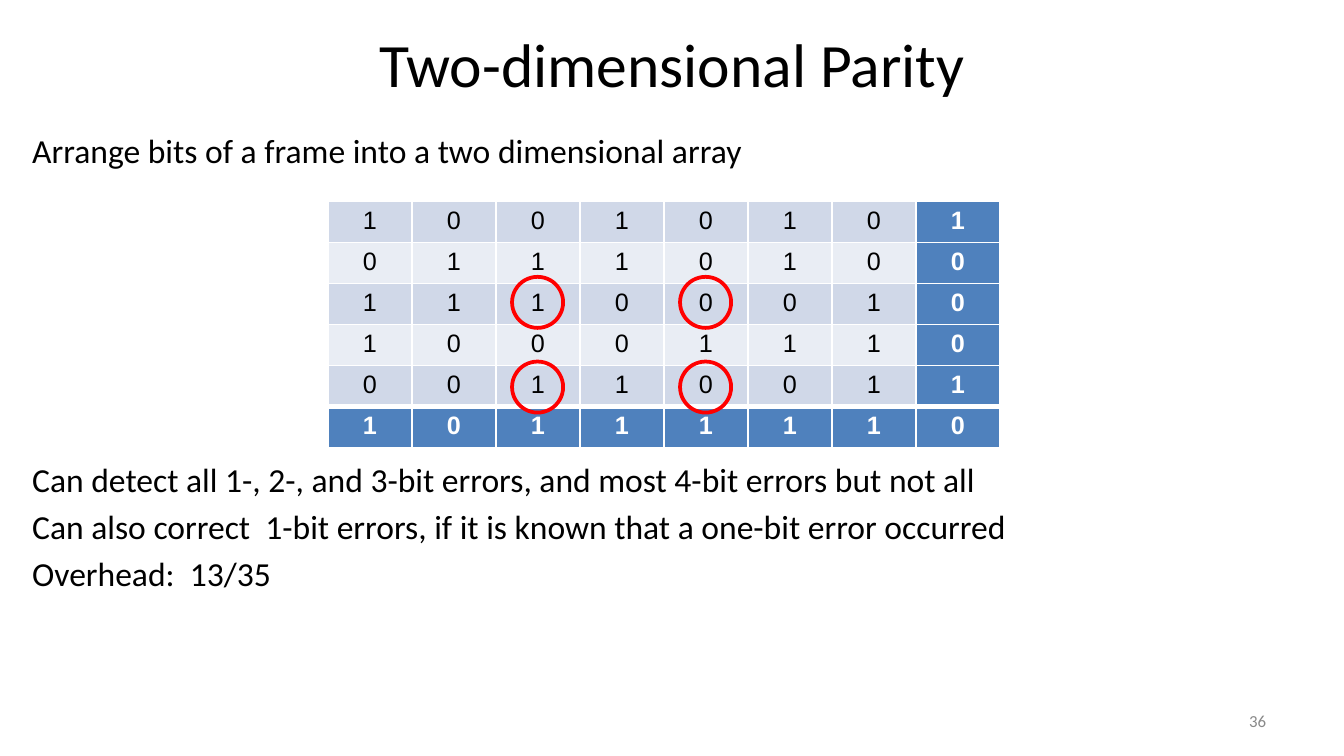
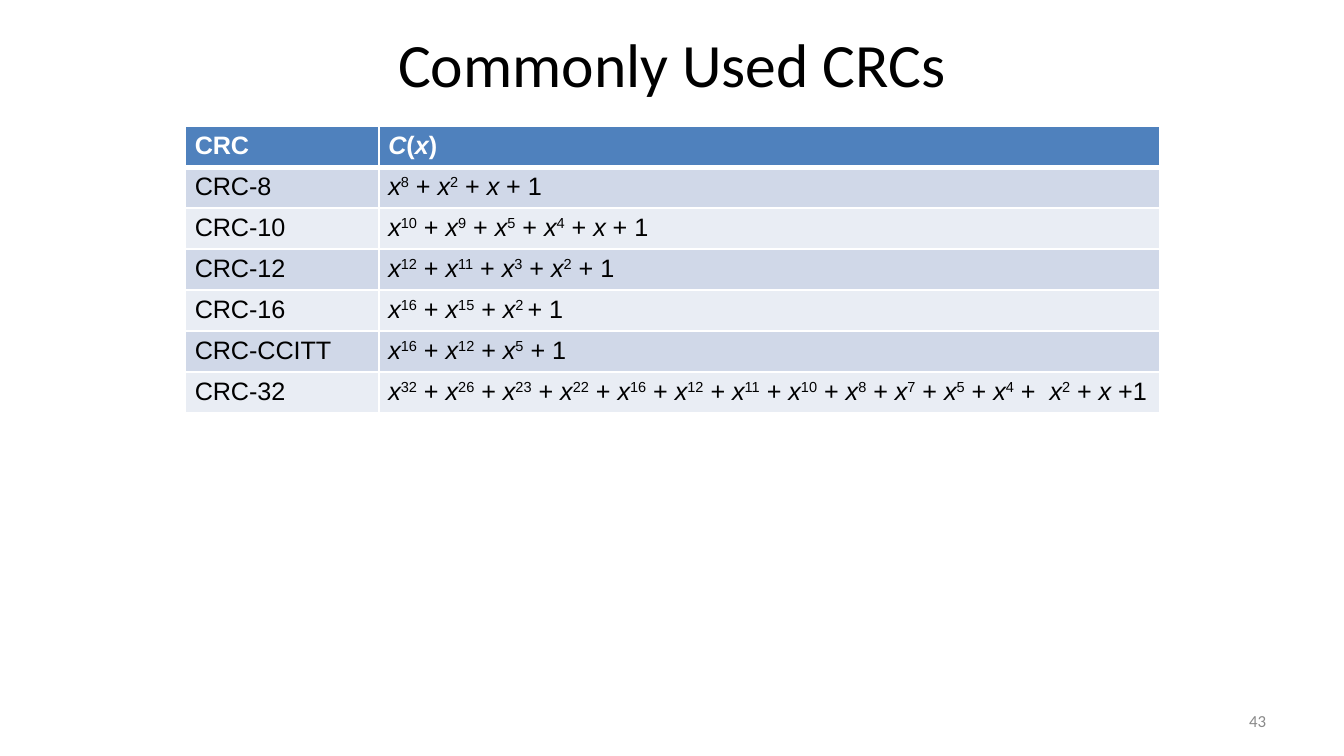
from itertools import groupby
from pptx import Presentation
from pptx import util as u
from pptx.dml.color import RGBColor
from pptx.enum import shapes, text
from pptx.oxml import parse_xml
from pptx.oxml.ns import nsdecls

INK, WHITE, GREY, RED = "000000", "FFFFFF", "898989", "FF0000"
BLUE, BANDS = "4F81BD", ("D0D8E8", "E9EDF4")
LEFT, CENTER, RIGHT = text.PP_ALIGN.LEFT, text.PP_ALIGN.CENTER, text.PP_ALIGN.RIGHT
TOP, MIDDLE = text.MSO_ANCHOR.TOP, text.MSO_ANCHOR.MIDDLE
LINE_GAP, TABLE_GAP = 3.6, 154.5

BITS = ["10010101", "01110100", "11100010", "10001110", "00110011", "10111110"]
CRCS = [
    ("CRC", "C(x)"),
    ("CRC-8", "x{8} + x{2} + x + 1"),
    ("CRC-10", "x{10} + x{9} + x{5} + x{4} + x + 1"),
    ("CRC-12", "x{12} + x{11} + x{3} + x{2} + 1"),
    ("CRC-16", "x{16} + x{15} + x{2 }+ 1"),
    ("CRC-CCITT", "x{16} + x{12} + x{5} + 1"),
    ("CRC-32", "x{32} + x{26} + x{23} + x{22} + x{16} + x{12} + x{11} + x{10}"
               " + x{8} + x{7} + x{5} + x{4} +  x{2} + x +1"),
]


def color(value):
    """Turn a hex string into a colour."""
    return RGBColor.from_string(value)


def add_span(para, words, size=18, font="Calibri", ink=INK, bold=False,
             italic=False, raised=False):
    """Add one formatted run to a paragraph."""
    span = para.add_run()
    span.text = words
    span.font.size, span.font.name = u.Pt(size), font
    span.font.bold, span.font.italic = bold, italic
    span.font.color.rgb = color(ink)
    if raised:
        span.font._element.set("baseline", "30000")


def add_text(page, box, lines, align=LEFT, anchor=TOP, gaps=(0,), **style):
    """Add a text box with one paragraph per line and the space before each."""
    frame = page.shapes.add_textbox(*map(u.Inches, box)).text_frame
    frame.word_wrap, frame.vertical_anchor = True, anchor
    frame.margin_left = frame.margin_right = u.Inches(0.08)
    frame.margin_top = frame.margin_bottom = u.Inches(0.04)
    for index, (line, gap) in enumerate(zip(lines, gaps)):
        para = frame.add_paragraph() if index else frame.paragraphs[0]
        para.alignment, para.space_before = align, u.Pt(gap)
        add_span(para, line, **style)


def add_page(deck, title, number):
    """Add a blank page with its title and page number."""
    page = deck.slides.add_slide(deck.slide_layouts[6])
    add_text(page, (0, 0, 10, 0.94), [title], CENTER, MIDDLE, size=33)
    add_text(page, (7.17, 5.21, 2.33, 0.3), [number], RIGHT, MIDDLE, size=9, ink=GREY)
    return page


def add_grid(page, box, widths, row_count):
    """Add an unstyled table with given column widths and equal rows."""
    grid = page.shapes.add_table(row_count, len(widths), *map(u.Inches, box)).table
    grid.first_row = grid.horz_banding = False
    for column, width in zip(grid.columns, widths):
        column.width = u.Inches(width)
    for row in grid.rows:
        row.height = u.Inches(box[3] / row_count)
    return grid


def style_cell(cell, fill, align=LEFT, top=1, bottom=1):
    """Set borders, fill and margins of a cell and return its paragraph."""
    for side, weight in zip("LRTB", (1, 1, top, bottom)):
        cell._tc.get_or_add_tcPr().append(parse_xml(
            f'<a:ln{side} {nsdecls("a")} w="{u.Pt(weight)}"><a:solidFill>'
            f'<a:srgbClr val="{WHITE}"/></a:solidFill></a:ln{side}>'))
    cell.fill.solid()
    cell.fill.fore_color.rgb = color(fill)
    cell.margin_left = cell.margin_right = u.Inches(0.07)
    cell.margin_top = cell.margin_bottom = u.Inches(0.04)
    para = cell.text_frame.paragraphs[0]
    para.alignment = align
    return para


def add_polynomial(para, formula, **style):
    """Write a formula with italic letters and raised text in braces."""
    for index, piece in enumerate(formula.replace("}", "{").split("{")):
        for italic, letters in groupby(piece, str.isalpha):
            add_span(para, "".join(letters), italic=italic, raised=index % 2 == 1, **style)


def add_parity_table(page, box):
    """Add the bit array with its parity row and column."""
    last_row, last_column = len(BITS) - 1, len(BITS[0]) - 1
    grid = add_grid(page, box, [box[2] / len(BITS[0])] * len(BITS[0]), len(BITS))
    for row, bits in enumerate(BITS):
        for column, bit in enumerate(bits):
            parity = row == last_row or column == last_column
            para = style_cell(grid.cell(row, column), BLUE if parity else BANDS[row % 2],
                              CENTER, top=3 if row == last_row else 1,
                              bottom=3 if row == last_row - 1 else 1)
            add_span(para, bit, 13.5, "Arial", WHITE if parity else INK, bold=parity)


def add_error_rings(page, box):
    """Ring the four bits at the corners of the given box."""
    left, top, width, height = box
    size = 0.38
    for y in (top, top + height - size):
        for x in (left, left + width - size):
            ring = page.shapes.add_shape(shapes.MSO_SHAPE.OVAL, *map(u.Inches, (x, y, size, size)))
            ring.shadow.inherit = False
            ring.fill.background()
            ring.line.color.rgb, ring.line.width = color(RED), u.Pt(2)


def add_crc_table(page, box):
    """Add the table of CRC names and their polynomials."""
    grid = add_grid(page, box, (1.44, box[2] - 1.44), len(CRCS))
    for row, (name, formula) in enumerate(CRCS):
        head = row == 0
        style = dict(size=13.5, font="Arial", ink=WHITE if head else INK, bold=head)
        label, value = (
            style_cell(grid.cell(row, column), BLUE if head else BANDS[(row - 1) % 2],
                       top=3 if row == 1 else 1, bottom=3 if head else 1)
            for column in range(2))
        add_span(label, name, **style)
        add_polynomial(value, formula, **style)


def main():
    """Build and save the deck."""
    deck = Presentation()
    deck.slide_width, deck.slide_height = u.Inches(10), u.Inches(10 * 9 / 16)

    page = add_page(deck, "Two-dimensional Parity", "36")
    add_text(page, (0.16, 0.93, 9.67, 4.15), [
        "Arrange bits of a frame into a two dimensional array",
        "Can detect all 1-, 2-, and 3-bit errors, and most 4-bit errors but not all",
        "Can also correct  1-bit errors, if it is known that a one-bit error occurred",
        "Overhead:  13/35",
    ], gaps=(LINE_GAP, TABLE_GAP, LINE_GAP, LINE_GAP))
    add_parity_table(page, (2.44, 1.5, 5, 1.83))
    add_error_rings(page, (3.81, 2.06, 1.63, 1.01))

    page = add_page(deck, "Commonly Used CRCs", "43")
    add_crc_table(page, (1.38, 0.94, 7.25, 2.12))
    deck.save("out.pptx")


main()
